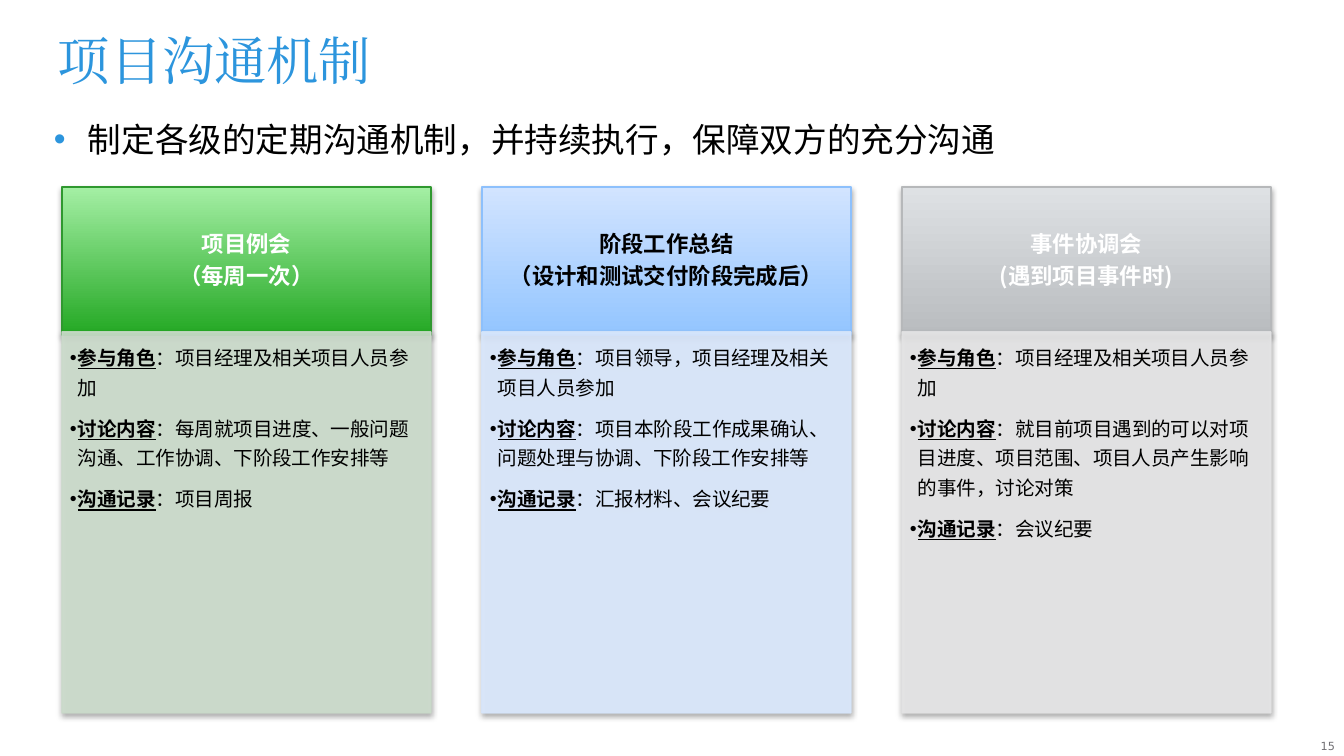
import pptx
import pptx.dml.color
import pptx.enum.shapes
import pptx.enum.text
import pptx.oxml
import pptx.oxml.ns
import pptx.util
import lxml.etree

SCALE = 914400 / 134.4
SANS = "Noto Sans CJK SC"
ALIGN = pptx.enum.text.PP_ALIGN
ANCHOR = pptx.enum.text.MSO_ANCHOR


def px(value):
    return pptx.util.Emu(round(value * SCALE))


def rgb(value):
    return pptx.dml.color.RGBColor.from_string(value)


def add_xml(parent, tag, **attributes):
    element = lxml.etree.SubElement(parent, pptx.oxml.ns.qn(tag))
    for name, value in attributes.items():
        element.set(name, str(value))
    return element


class SlideBuilder:
    def __init__(self, presentation):
        self.slide = presentation.slides.add_slide(presentation.slide_layouts[5])

    def frame(self, shape, insets=(0, 0, 0, 0), anchor=ANCHOR.TOP):
        frame = shape.text_frame
        frame.word_wrap = True
        frame.auto_size = pptx.enum.text.MSO_AUTO_SIZE.NONE
        frame.vertical_anchor = anchor
        frame.margin_left, frame.margin_top, frame.margin_right, frame.margin_bottom = map(px, insets)
        return frame

    def format_run(self, run, size, color, name=SANS, bold=False, underline=False):
        font = run.font
        font.size = pptx.util.Pt(size)
        font.name = name
        font.bold = bold
        font.underline = underline
        font.color.rgb = rgb(color)
        properties = run._r.get_or_add_rPr()
        properties.set("lang", "zh-CN")
        add_xml(properties, "a:ea", typeface=name)

    def format_paragraph(self, paragraph, align=ALIGN.LEFT, line=None, after=0):
        paragraph.alignment = align
        paragraph.space_before = pptx.util.Pt(0)
        paragraph.space_after = pptx.util.Pt(after)
        if line:
            paragraph.line_spacing = pptx.util.Pt(line)

    def bullet(self, paragraph, indent, color):
        paragraph.level = 1
        properties = paragraph._p.get_or_add_pPr()
        properties.set("marL", str(px(indent)))
        properties.set("indent", str(px(-indent)))
        add_xml(add_xml(properties, "a:buClr"), "a:srgbClr", val=color)
        add_xml(properties, "a:buFont", typeface="Arial")
        add_xml(properties, "a:buChar", char="•")

    def title(self, text, box):
        shape = self.slide.shapes.title
        shape.left, shape.top, shape.width, shape.height = map(px, box)
        paragraph = self.frame(shape).paragraphs[0]
        paragraph.text = text
        self.format_paragraph(paragraph, line=36)
        self.format_run(paragraph.runs[0], 28, "2C95DD", "Cambria")

    def text(self, text, box, size, color, name=SANS, align=ALIGN.LEFT, line=None):
        shape = self.slide.shapes.add_textbox(*map(px, box))
        paragraph = self.frame(shape).paragraphs[0]
        paragraph.text = text
        self.format_paragraph(paragraph, align, line)
        self.format_run(paragraph.runs[0], size, color, name)
        return paragraph

    def panel(self, box, line):
        shape = self.slide.shapes.add_shape(pptx.enum.shapes.MSO_SHAPE.RECTANGLE, *map(px, box))
        shape.line.color.rgb = rgb(line)
        shape.line.width = pptx.util.Pt(0.75)
        shape.shadow.inherit = False
        effects = shape._element.spPr.find(pptx.oxml.ns.qn("a:effectLst"))
        shadow = add_xml(effects, "a:outerShdw", blurRad=pptx.util.Pt(3.1),
                         dist=pptx.util.Pt(1.8), dir=5400000, rotWithShape=0)
        add_xml(add_xml(shadow, "a:srgbClr", val="000000"), "a:alpha", val=35000)
        return shape

    def header(self, lines, box, bottom, top, line, color):
        shape = self.panel(box, line)
        shape.fill.gradient()
        shape.fill.gradient_angle = 90
        for stop, shade in zip(shape.fill.gradient_stops, (bottom, top)):
            stop.color.rgb = rgb(shade)
        frame = self.frame(shape, (12, 7, 12, 7), ANCHOR.MIDDLE)
        frame.text = "\n".join(lines)
        for paragraph in frame.paragraphs:
            self.format_paragraph(paragraph, ALIGN.CENTER, 13.1, 4.2)
            self.format_run(paragraph.runs[0], 12, color, bold=True)

    def details(self, items, box, fill, line):
        shape = self.panel(box, line)
        shape.fill.solid()
        shape.fill.fore_color.rgb = rgb(fill)
        for color in shape._element.spPr.findall(".//" + pptx.oxml.ns.qn("a:solidFill")):
            add_xml(color[0], "a:alpha", val=90000)
        frame = self.frame(shape, (8, 8, 12, 13))
        for index, (label, content) in enumerate(items):
            paragraph = frame.add_paragraph() if index else frame.paragraphs[0]
            self.format_paragraph(paragraph, line=15.9, after=6)
            self.bullet(paragraph, 8, "000000")
            for text, strong in ((label, True), ("：" + content, False)):
                run = paragraph.add_run()
                run.text = text
                self.format_run(run, 10.5, "000000", bold=strong, underline=strong)


LABELS = ("参与角色", "讨论内容", "沟通记录")
MEETINGS = [
    (("项目例会", "（每周一次）"), ("24A824", "A4EFA4", "2F982F", "FFFFFF"), ("CEDECE", "C9D9C9"),
     ("项目经理及相关项目人员参加",
      "每周就项目进度、一般问题沟通、工作协调、下阶段工作安排等",
      "项目周报")),
    (("阶段工作总结", "（设计和测试交付阶段完成后）"), ("93C5FF", "D2E4FF", "8DC0FC", "000000"), ("DCEAFF", "D6E5FA"),
     ("项目领导，项目经理及相关项目人员参加",
      "项目本阶段工作成果确认、问题处理与协调、下阶段工作安排等",
      "汇报材料、会议纪要")),
    (("事件协调会", "(遇到项目事件时)"), ("B9BCBF", "DEE1E4", "B6B8BA", "FFFFFF"), ("E7E7E8", "E2E2E3"),
     ("项目经理及相关项目人员参加",
      "就目前项目遇到的可以对项目进度、项目范围、项目人员产生影响的事件，讨论对策",
      "会议纪要")),
]

presentation = pptx.Presentation()
presentation.slide_width = px(1344)
presentation.slide_height = px(756)
builder = SlideBuilder(presentation)
builder.title("项目沟通机制", (58, 24, 1236, 102))
summary = builder.text("制定各级的定期沟通机制，并持续执行，保障双方的充分沟通",
                       (54, 116, 1253, 624), 18, "000000", line=23)
builder.bullet(summary, 34, "2C95DD")
for column, (heading, header_colors, detail_colors, contents) in enumerate(MEETINGS):
    left = 62 + 420 * column
    builder.header(heading, (left, 187, 369, 148), *header_colors)
    builder.details(zip(LABELS, contents), (left, 332, 369, 381), *detail_colors)
builder.text("15", (1293, 739, 42, 13), 6, "717074", "DejaVu Sans", ALIGN.RIGHT)
presentation.save("out.pptx")
